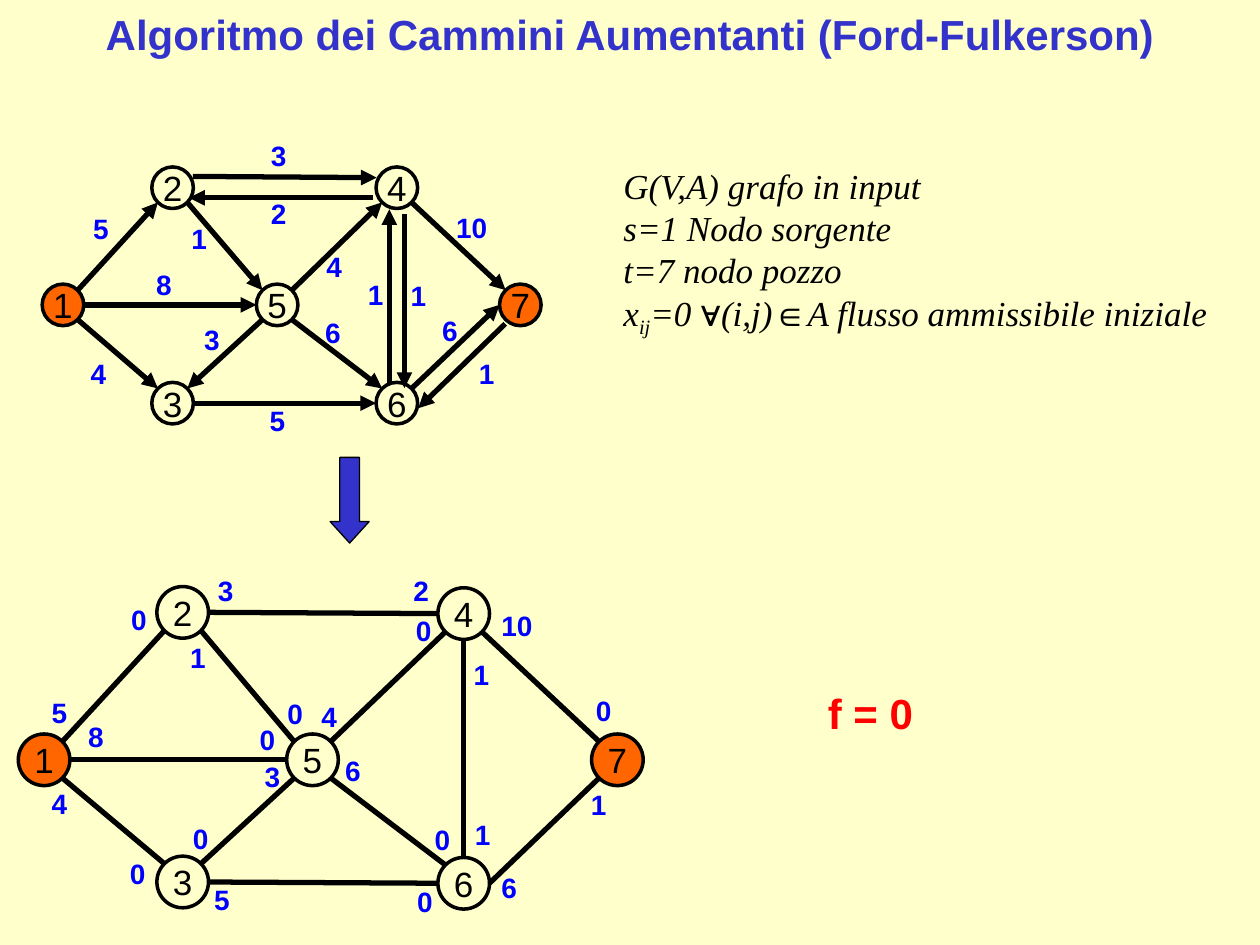
import pptx
import pptx.dml.color
import pptx.enum.shapes
import pptx.enum.text
import pptx.util
from lxml import etree
from pptx.oxml.ns import qn

Inches = pptx.util.Inches
Pt = pptx.util.Pt
RGB = pptx.dml.color.RGBColor
Shape = pptx.enum.shapes.MSO_SHAPE
Align = pptx.enum.text.PP_ALIGN
Anchor = pptx.enum.text.MSO_ANCHOR
Fit = pptx.enum.text.MSO_AUTO_SIZE

CREAM = RGB(0xFF, 0xFF, 0xCC)
BLACK = RGB(0, 0, 0)
ORANGE = RGB(0xFF, 0x66, 0)
BLUE = RGB(0, 0, 0xFF)
INDIGO = RGB(0x33, 0x33, 0xCC)
RED = RGB(0xFF, 0, 0)

DIAG = 0.7071
SIDES = {"n": (0, -1), "s": (0, 1), "w": (-1, 0), "e": (1, 0),
         "nw": (-DIAG, -DIAG), "ne": (DIAG, -DIAG),
         "sw": (-DIAG, DIAG), "se": (DIAG, DIAG)}

EDGES = [(1, "ne", 2, "sw"), (1, "e", 5, "w"), (1, "se", 3, "nw"),
         (3, "e", 6, "w"), (5, "se", 6, "nw"), (4, "se", 7, "nw"),
         (5, "sw", 3, "ne"), (5, "ne", 4, "sw"), (2, "se", 5, "nw")]
FLOW_EDGES = [(6, "ne", 7, "w")]
REST_EDGES = [(6, "n", 4, "s"), (7, "sw", 6, "e"), (2, "e", 4, "w")]

PAIRS = [((3.09, 3.04), (3.09, 1.66)), ((3.21, 1.7), (3.21, 3.08)),
         ((1.53, 1.4), (2.99, 1.41)), ((2.96, 1.57), (1.5, 1.57)),
         ((4.01, 2.57), (3.32, 3.24))]

FLOW_NODES = {1: (0.5, 2.42), 2: (1.37, 1.49), 3: (1.37, 3.2), 4: (3.15, 1.49),
              5: (2.2, 2.42), 6: (3.15, 3.2), 7: (4.13, 2.42)}
REST_NODES = {1: (0.35, 6.03), 2: (1.45, 4.86), 3: (1.45, 7), 4: (3.68, 4.87),
              5: (2.48, 6.03), 6: (3.68, 7.01), 7: (4.9, 6.03)}

LABELS = [
    ("5", 0.7, 1.68), ("8", 1.2, 2.12), ("4", 0.68, 2.83), ("5", 2.1, 3.2),
    ("3", 1.58, 2.56), ("6", 2.54, 2.5), ("4", 2.55, 1.98), ("10", 3.58, 1.67),
    ("6", 3.47, 2.49), ("1", 3.76, 2.83), ("3", 2.11, 1.1), ("2", 2.11, 1.56),
    ("1", 2.88, 2.2), ("1", 3.22, 2.21), ("1", 1.48, 1.76),
    ("5", 0.37, 5.52), ("8", 0.66, 5.71), ("4", 0.37, 6.24), ("5", 1.66, 7),
    ("0", 1.49, 6.52), ("6", 2.7, 5.98), ("4", 2.51, 5.55), ("10", 3.94, 4.83),
    ("6", 3.94, 6.91), ("1", 4.65, 6.25), ("3", 1.69, 4.55), ("2", 3.24, 4.55),
    ("1", 3.73, 6.49), ("1", 3.72, 5.22), ("0", 4.69, 5.5), ("0", 0.99, 6.8),
    ("0", 1, 4.78), ("0", 2.02, 5.73), ("3", 2.06, 6.03), ("0", 3.26, 4.87),
    ("0", 2.24, 5.53), ("0", 3.41, 6.53), ("0", 3.27, 7.02), ("1", 1.47, 5.08)]

NOTES = [["G(V,A) grafo in input"], ["s=1 Nodo sorgente"], ["t=7 nodo pozzo"],
         ["x", "ij", "=0 ∀(i,j)∈A flusso ammissibile iniziale"]]


def write(para, text, size=20, color=BLACK, face="Arial", bold=False,
          slant=False, base=0, align=None):
    """Add a formatted run to a paragraph."""
    if align is not None:
        para.alignment = align
    run = para.add_run()
    run.text = text
    font = run.font
    font.size, font.name, font.bold, font.italic = Pt(size), face, bold, slant
    font.color.rgb = color
    if base:
        font._element.set("baseline", str(base))


class Board:
    """Hold the style and the current slide, and draw each kind of element."""

    def __init__(self, slide):
        self.slide = slide
        self.shapes = slide.shapes
        slide.background.fill.solid()
        slide.background.fill.fore_color.rgb = CREAM

    def frame(self, shape, pad_x=0.04, pad_y=0.04, wrap=False):
        frame = shape.text_frame
        frame.margin_left = frame.margin_right = Inches(pad_x)
        frame.margin_top = frame.margin_bottom = Inches(pad_y)
        frame.word_wrap = wrap
        frame.auto_size = Fit.NONE
        frame.vertical_anchor = Anchor.MIDDLE
        return frame

    def title(self, text):
        shape = self.shapes.title
        shape.left, shape.top = Inches(0.06), Inches(0.01)
        shape.width, shape.height = Inches(9.88), Inches(0.51)
        frame = self.frame(shape, wrap=True)
        write(frame.paragraphs[0], text, size=24, color=INDIGO, bold=True,
              align=Align.CENTER)

    def solid(self, kind, left, top, width, height, fill, weight):
        shape = self.shapes.add_shape(
            kind, Inches(left), Inches(top), Inches(width), Inches(height))
        shape.shadow.inherit = False
        if fill is None:
            shape.fill.background()
        else:
            shape.fill.solid()
            shape.fill.fore_color.rgb = fill
        shape.line.color.rgb = BLACK
        shape.line.width = Pt(weight)
        return shape

    def node(self, name, spot, size):
        fill = ORANGE if name in (1, 7) else None
        left, top = (mid - size / 2 for mid in spot)
        shape = self.solid(Shape.OVAL, left, top, size, size, fill, 2)
        write(self.frame(shape).paragraphs[0], str(name), align=Align.CENTER)

    def line(self, start, end, arrow):
        link = self.shapes.add_connector(
            pptx.enum.shapes.MSO_CONNECTOR.STRAIGHT,
            *(Inches(part) for part in (*start, *end)))
        link.line.color.rgb = BLACK
        link.line.width = Pt(3)
        if arrow:
            etree.SubElement(link.line._get_or_add_ln(), qn("a:tailEnd"),
                             type="triangle")
        etree.SubElement(link._element.spPr, qn("a:effectLst"))

    def graph(self, nodes, edges, size, arrow):
        def rim(name, side):
            return [mid + step * size / 2
                    for mid, step in zip(nodes[name], SIDES[side])]

        for name, spot in nodes.items():
            self.node(name, spot, size)
        for tail, out, head, into in edges:
            self.line(rim(tail, out), rim(head, into), arrow)

    def label(self, text, left, top, width, height=0.27, size=16, color=BLUE):
        box = self.shapes.add_textbox(
            Inches(left), Inches(top), Inches(width), Inches(height))
        write(self.frame(box, pad_y=0).paragraphs[0], text, size=size,
              color=color, bold=True)

    def notes(self, rows):
        box = self.shapes.add_textbox(
            Inches(4.85), Inches(1.26), Inches(5.04), Inches(1.45))
        frame = self.frame(box, 0.1, 0.05, wrap=True)
        frame.vertical_anchor = Anchor.TOP
        for spot, row in enumerate(rows):
            para = frame.add_paragraph() if spot else frame.paragraphs[0]
            for text in row:
                write(para, text, face="Times New Roman", slant=True,
                      base=-25000 if text == "ij" else 0, align=Align.JUSTIFY)

    def arrow(self):
        shape = self.solid(Shape.DOWN_ARROW, 2.62, 3.63, 0.31, 0.68, INDIGO, 0.75)
        shape.adjustments[0], shape.adjustments[1] = 0.5, 0.55


def main():
    deck = pptx.Presentation()
    deck.slide_width, deck.slide_height = Inches(10), Inches(7.5)
    board = Board(deck.slides.add_slide(deck.slide_layouts[5]))
    board.title("Algoritmo dei Cammini Aumentanti (Ford-Fulkerson)")
    board.graph(FLOW_NODES, EDGES + FLOW_EDGES, 0.33, True)
    for start, end in PAIRS:
        board.line(start, end, True)
    board.graph(REST_NODES, EDGES + REST_EDGES, 0.41, False)
    for text, left, top in LABELS:
        board.label(text, left, top, 0.33 if len(text) > 1 else 0.2)
    board.arrow()
    board.label("f = 0", 6.53, 5.46, 0.76, 0.4, size=24, color=RED)
    board.notes(NOTES)
    deck.save("out.pptx")


if __name__ == "__main__":
    main()
